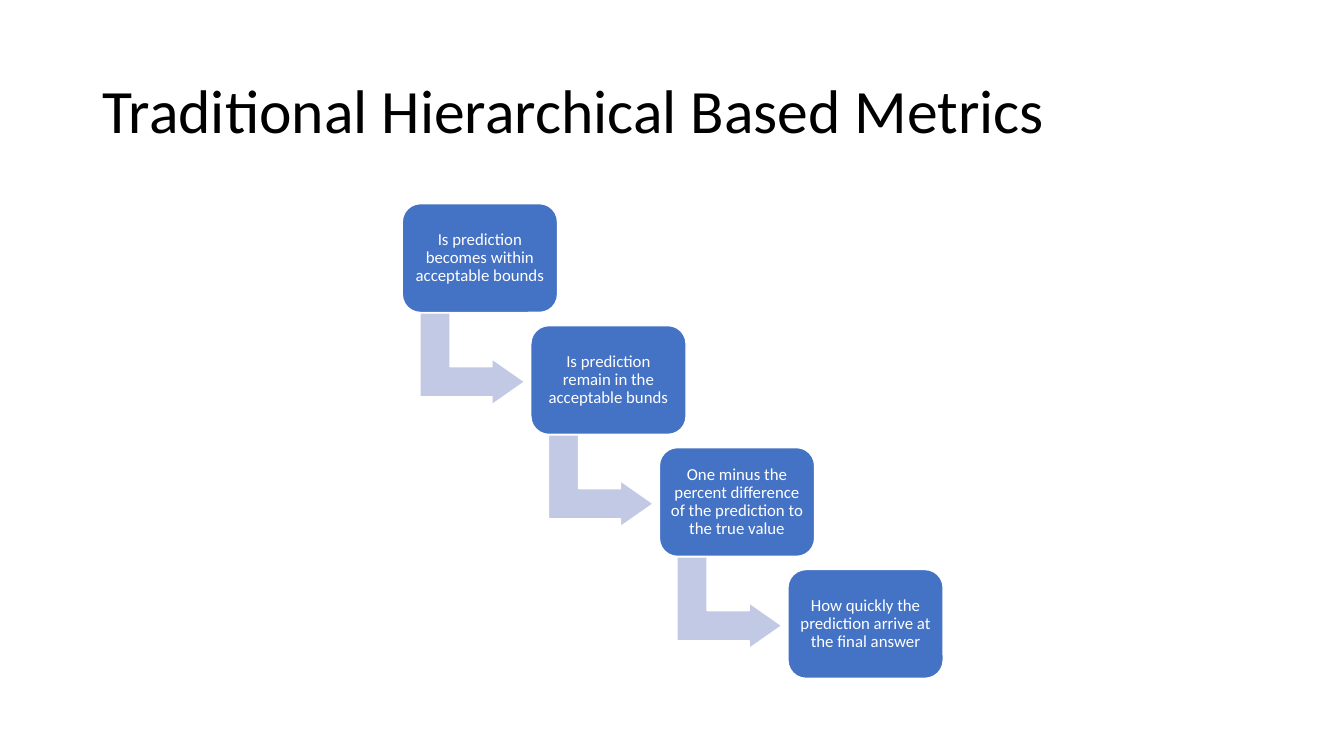
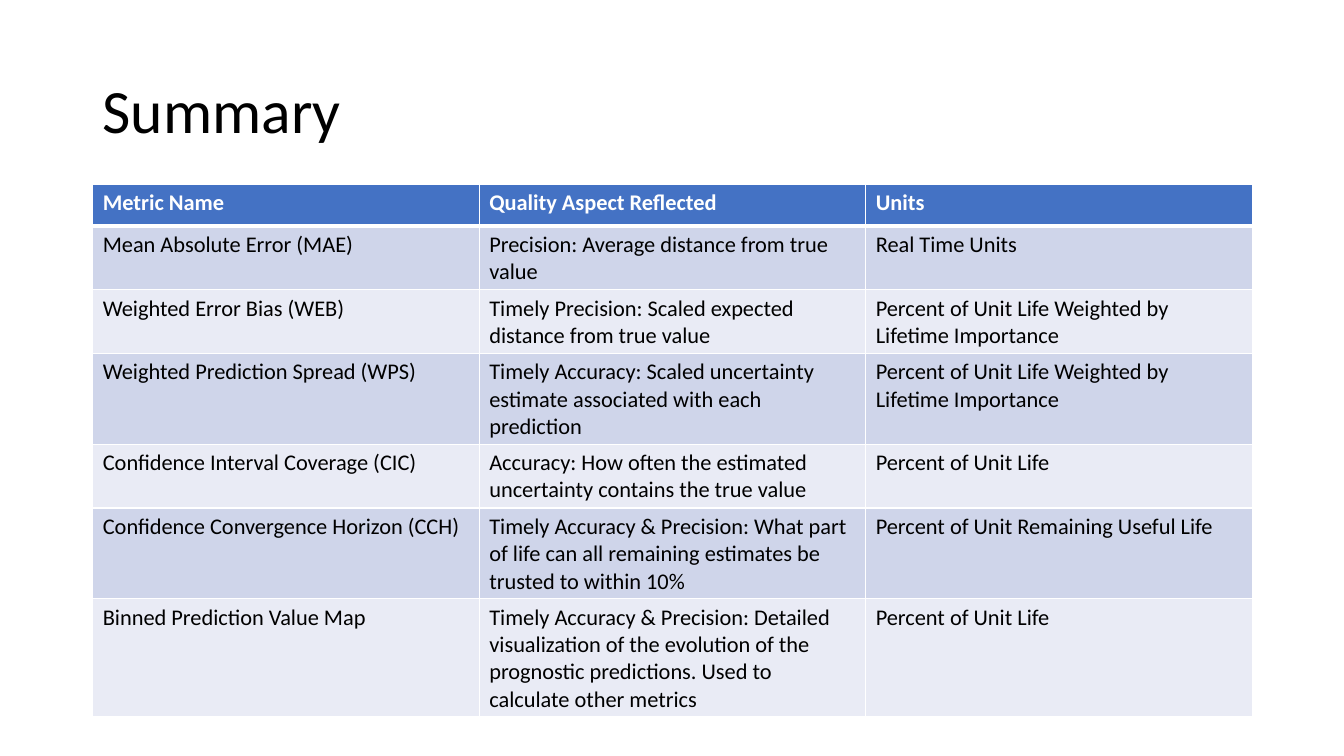
from lxml.etree import SubElement as Sub
from pptx import Presentation
from pptx.dml.color import RGBColor as Rgb
from pptx.enum.shapes import MSO_SHAPE as Shp
from pptx.enum.text import MSO_ANCHOR as Anc, PP_ALIGN as Al
from pptx.oxml.ns import qn
from pptx.util import Inches, Pt

BLUE, PALE, WHITE, BLACK = "4472C4", "C1C9E4", "FFFFFF", "000000"
BANDS = "CFD5EA", "E9EBF5"

STEPS = [
    "Is prediction becomes within acceptable bounds",
    "Is prediction remain in the acceptable bunds",
    "One minus the percent difference of the prediction to the true value",
    "How quickly the prediction arrive at the final answer",
]
ROWS = [
    ("Metric Name", "Quality Aspect Reflected", "Units"),
    ("Mean Absolute Error (MAE)",
     "Precision: Average distance from true value",
     "Real Time Units"),
    ("Weighted Error Bias (WEB)",
     "Timely Precision: Scaled expected distance from true value",
     "Percent of Unit Life Weighted by Lifetime Importance"),
    ("Weighted Prediction Spread (WPS)",
     "Timely Accuracy: Scaled uncertainty estimate associated with each prediction",
     "Percent of Unit Life Weighted by Lifetime Importance"),
    ("Confidence Interval Coverage (CIC)",
     "Accuracy: How often the estimated uncertainty contains the true value",
     "Percent of Unit Life"),
    ("Confidence Convergence Horizon (CCH)",
     "Timely Accuracy & Precision: What part of life can all remaining "
     "estimates be trusted to within 10%",
     "Percent of Unit Remaining Useful Life"),
    ("Binned Prediction Value Map",
     "Timely Accuracy & Precision: Detailed visualization of the evolution "
     "of the prognostic predictions. Used to calculate other metrics",
     "Percent of Unit Life"),
]


def color(code):
    return Rgb.from_string(code)


def apply(obj, form):
    for name, val in form.items():
        setattr(obj, name, val)


def paint(obj, code):
    obj.fill.solid()
    obj.fill.fore_color.rgb = color(code)


def edge(cell, sides):
    """Draw white cell borders; sides maps L, R, T, B to widths in points."""
    props = cell._tc.get_or_add_tcPr()
    for side, width in sides.items():
        line = Sub(props, qn(f"a:ln{side}"), w=str(Pt(width)))
        Sub(Sub(line, qn("a:solidFill")), qn("a:srgbClr"), val=WHITE)


class Deck:
    face = "Calibri"

    def __init__(self):
        self.prs = Presentation()
        apply(self.prs, {"slide_width": Inches(13.33),
                         "slide_height": Inches(7.5)})
        self.slide = None

    def page(self, title):
        self.slide = self.prs.slides.add_slide(self.prs.slide_layouts[6])
        box = self.slide.shapes.add_textbox(
            *map(Inches, (0.92, 0.4, 11.5, 1.45)))
        self.label(box.text_frame, title, 44, BLACK)

    def label(self, frame, text, size, code, align=Al.LEFT, inset=None):
        apply(frame, {"word_wrap": True, "vertical_anchor": Anc.MIDDLE})
        if inset is not None:
            pad = Inches(inset)
            apply(frame, {"margin_left": pad, "margin_right": pad,
                          "margin_top": pad, "margin_bottom": pad})
        para = frame.paragraphs[0]
        apply(para, {"alignment": align, "line_spacing": 0.9})
        self.words(para, text, size, code)

    def words(self, para, text, size, code, bold=False):
        run = para.add_run()
        run.text = text
        apply(run.font, {"name": self.face, "size": Pt(size), "bold": bold})
        run.font.color.rgb = color(code)

    def shape(self, kind, spot, fill, adj, turn=0):
        shape = self.slide.shapes.add_shape(kind, *map(Inches, spot))
        shape.rotation = turn
        shape.shadow.inherit = False
        paint(shape, fill)
        shape.line.color.rgb = color(WHITE)
        shape.line.width = Pt(1)
        for i, val in enumerate(adj):
            shape.adjustments[i] = val
        return shape

    def stairs(self, steps):
        for i, text in enumerate(steps):
            x, y = 3.99 + 1.275 * i, 2.02 + 1.21 * i
            if i < len(steps) - 1:
                self.shape(Shp.BENT_UP_ARROW, (x + 0.24, y + 1.02, 0.91, 1.04),
                           PALE, (0.328, 0.25, 0.358), 90)
            box = self.shape(Shp.ROUNDED_RECTANGLE, (x, y, 1.54, 1.08),
                             BLUE, (0.167,))
            self.label(box.text_frame, text, 12, WHITE, Al.CENTER, 0.05)

    def table(self, rows):
        high = 0.41
        grid = self.slide.shapes.add_table(
            len(rows), len(rows[0]),
            *map(Inches, (0.92, 1.83, 11.5, high * len(rows)))).table
        for r, row in enumerate(rows):
            head = r == 0
            for c, text in enumerate(row):
                cell = grid.cell(r, c)
                edge(cell, {"L": 1, "R": 1, "T": 3 if r == 1 else 1,
                            "B": 3 if head else 1})
                paint(cell, BLUE if head else BANDS[(r - 1) % 2])
                self.words(cell.text_frame.paragraphs[0], text, 16,
                           WHITE if head else BLACK, head)


def main():
    deck = Deck()
    deck.page("Traditional Hierarchical Based Metrics")
    deck.stairs(STEPS)
    deck.page("Summary")
    deck.table(ROWS)
    deck.prs.save("out.pptx")


if __name__ == "__main__":
    main()
